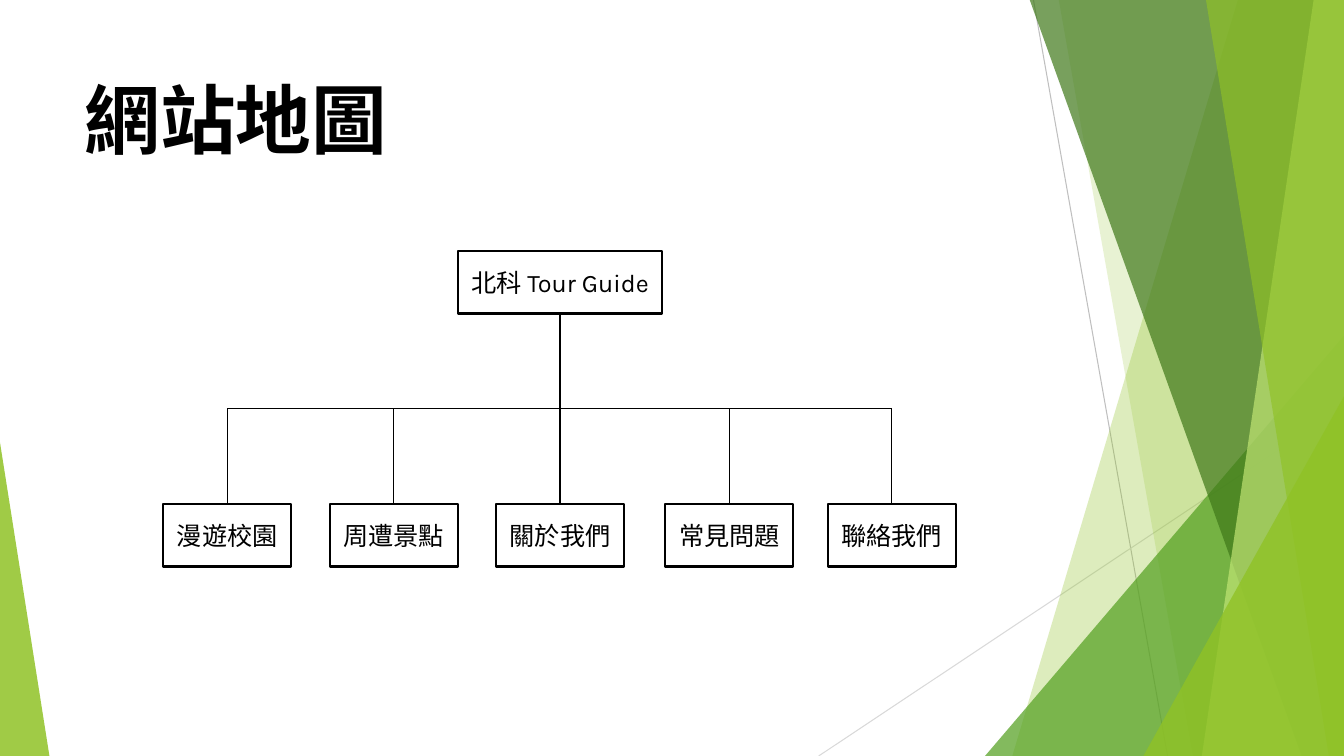
from dataclasses import dataclass

from lxml.etree import SubElement
from pptx import Presentation
from pptx.dml.color import RGBColor
from pptx.enum.shapes import MSO_CONNECTOR, MSO_SHAPE
from pptx.enum.text import MSO_ANCHOR, MSO_AUTO_SIZE, PP_ALIGN
from pptx.oxml.ns import qn
from pptx.util import Inches, Pt


@dataclass(frozen=True)
class Theme:
    font: str = "Karla"
    title_size: int = 54
    box_size: int = 18
    black: str = "000000"
    white: str = "FFFFFF"
    gray: str = "BFBFBF"
    light_gray: str = "D9D9D9"
    lime: str = "90C226"
    pale_lime: str = "C0E474"
    green: str = "54A021"
    dark_green: str = "3F7819"


theme = Theme()
presentation = Presentation()
presentation.slide_width = Inches(13.33)
presentation.slide_height = Inches(7.5)
slide = presentation.slides.add_slide(presentation.slide_layouts[5])
shapes = slide.shapes


def draw_line(start, end, color, width):
    line = shapes.add_connector(
        MSO_CONNECTOR.STRAIGHT, *[Inches(value) for value in (*start, *end)]
    )
    line.line.color.rgb = RGBColor.from_string(color)
    line.line.width = Pt(width)
    SubElement(line.element.spPr, qn("a:effectLst"))
    return line


def style_text(text_frame, size, alignment, anchor):
    text_frame.vertical_anchor = anchor
    paragraph = text_frame.paragraphs[0]
    paragraph.alignment = alignment
    font = paragraph.runs[0].font
    font.name = theme.font
    font.size = Pt(size)
    font.color.rgb = RGBColor.from_string(theme.black)
    return font


draw_line((10.25, 0), (11.58, 7.5), theme.gray, 0.75)
draw_line((13.33, 4.03), (8.12, 7.5), theme.light_gray, 0.75)

right, top, bottom = 13.33, -0.01, 7.5
decorations = [
    ("panel", (12.28, 10.04), theme.lime, 30),
    ("panel", (10.5, 11.83), theme.lime, 20),
    ("triangle", (9.77, 3.33, 3.56, 1), theme.green, 72),
    ("panel", (10.21, 12.91), theme.dark_green, 70),
    ("panel", (13.03, 11.92), theme.pale_lime, 70),
    ("panel", (11.96, 13.18), theme.lime, 65),
    ("triangle", (11.34, 3.93, 1.99, 1), theme.lime, 80),
    ("triangle", (0, 4.39, 0.49, 0), theme.lime, 85),
]
for kind, geometry, color, opacity in decorations:
    if kind == "panel":
        top_left, bottom_left = geometry
        builder = shapes.build_freeform(Inches(top_left), Inches(top))
        corners = [(right, top), (right, bottom), (bottom_left, bottom)]
        builder.add_line_segments([(Inches(x), Inches(y)) for x, y in corners])
        shape = builder.convert_to_shape()
    else:
        left, apex_top, width, apex = geometry
        shape = shapes.add_shape(
            MSO_SHAPE.ISOSCELES_TRIANGLE,
            Inches(left), Inches(apex_top), Inches(width), Inches(bottom - apex_top),
        )
        shape.adjustments[0] = apex
    shape.shadow.inherit = False
    shape.line.fill.background()
    shape.fill.solid()
    shape.fill.fore_color.rgb = RGBColor.from_string(color)
    fill_color = shape.element.spPr.find(f".//{qn('a:srgbClr')}")
    SubElement(fill_color, qn("a:alpha"), val=str(opacity * 1000))

title = shapes.title
title.left, title.top = Inches(0.74), Inches(0.67)
title.width, title.height = Inches(9.4), Inches(1.44)
title.text_frame.text = "網站地圖"
title.text_frame.auto_size = MSO_AUTO_SIZE.NONE
title_font = style_text(title.text_frame, theme.title_size, PP_ALIGN.LEFT, MSO_ANCHOR.TOP)
title_font.bold = True
shapes.element.append(title.element)

page_top, page_width, box_height = 5, 1.27, 0.62
pages = [
    ("北科 Tour Guide", 4.54, 2.49, 2.03),
    ("漫遊校園", 1.62, page_top, page_width),
    ("周遭景點", 3.27, page_top, page_width),
    ("關於我們", 4.92, page_top, page_width),
    ("常見問題", 6.6, page_top, page_width),
    ("聯絡我們", 8.21, page_top, page_width),
]
boxes = []
for label, left, box_top, width in pages:
    box = shapes.add_shape(
        MSO_SHAPE.RECTANGLE,
        Inches(left), Inches(box_top), Inches(width), Inches(box_height),
    )
    box.shadow.inherit = False
    box.fill.solid()
    box.fill.fore_color.rgb = RGBColor.from_string(theme.white)
    box.line.color.rgb = RGBColor.from_string(theme.black)
    box.line.width = Pt(1.5)
    box.text_frame.text = label
    box.text_frame.word_wrap = False
    style_text(box.text_frame, theme.box_size, PP_ALIGN.CENTER, MSO_ANCHOR.MIDDLE)
    boxes.append(box)

home, *children = boxes
bus_y = 4.05
centers = [left + width / 2 for _, left, _, width in pages]
trunk = draw_line((centers[0], 3.11), (centers[0], bus_y), theme.black, 1)
trunk.begin_connect(home, 2)
draw_line((centers[1], bus_y), (centers[-1], bus_y), theme.black, 1)
for child, center in zip(children, centers[1:]):
    drop = draw_line((center, bus_y), (center, page_top), theme.black, 1)
    drop.end_connect(child, 0)

presentation.save("out.pptx")
